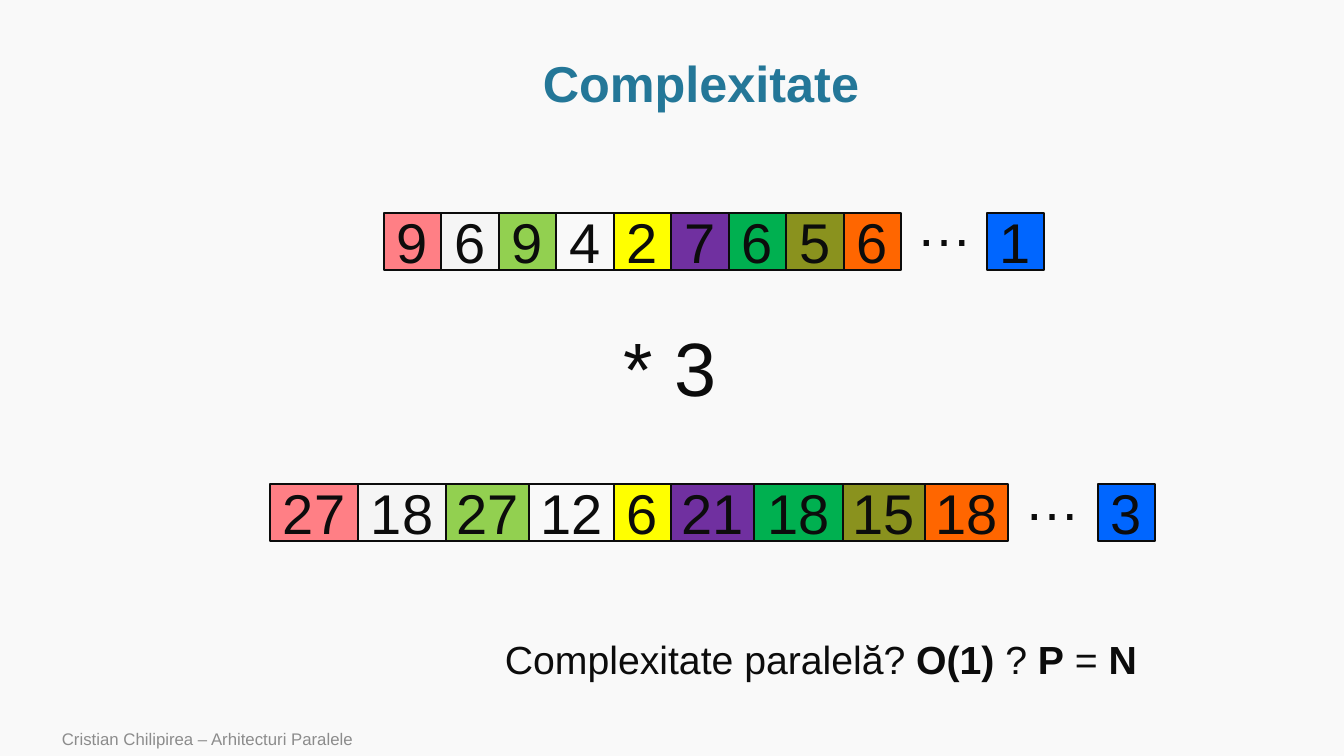
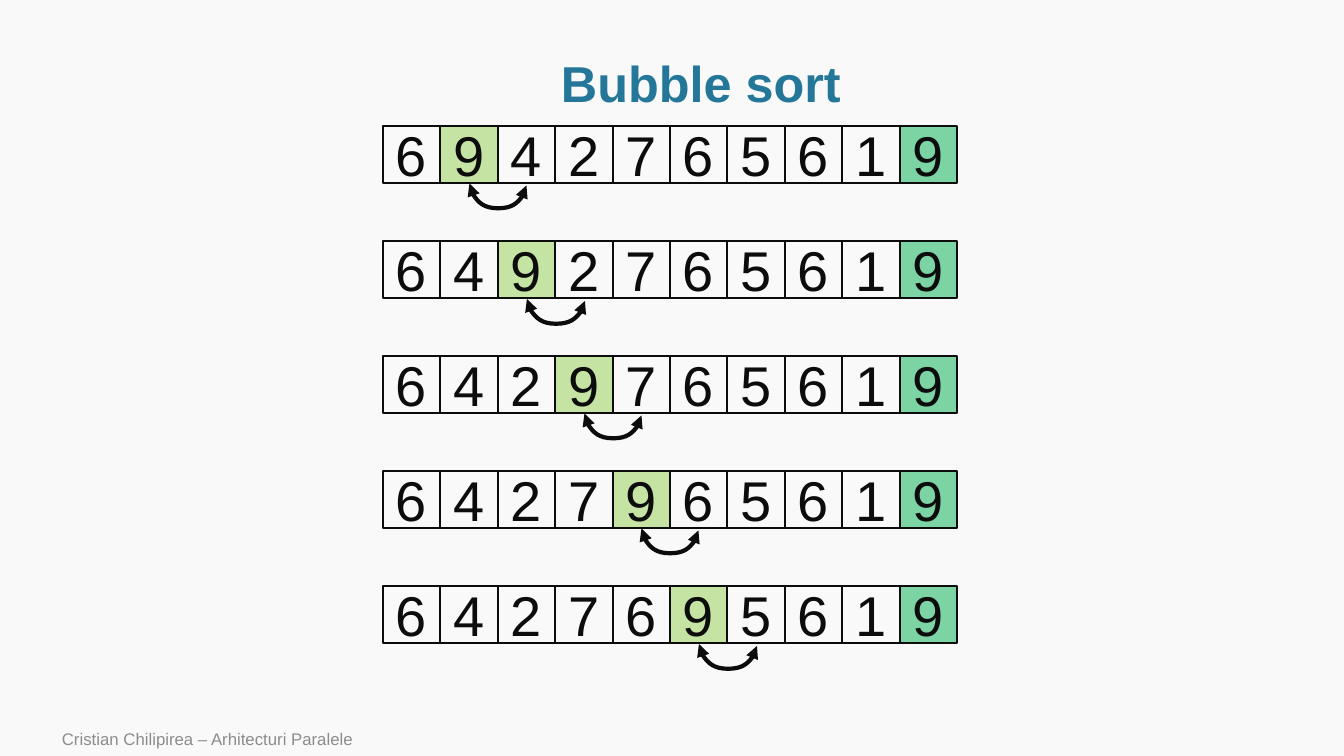
from dataclasses import dataclass
from typing import Optional

from lxml.etree import SubElement
from pptx import Presentation
from pptx.dml.color import RGBColor
from pptx.enum.shapes import MSO_CONNECTOR as Connector, MSO_SHAPE as Shape
from pptx.enum.text import MSO_ANCHOR as Anchor, MSO_AUTO_SIZE as AutoSize, PP_ALIGN as Align
from pptx.oxml.ns import qn
from pptx.util import Emu, Pt

SLIDE_WIDTH, SLIDE_HEIGHT = 1344, 756
EMU_PER_PX = 12192000 / SLIDE_WIDTH
FONT = "Arial"
TITLE_ONLY = 5
CELL = 57
COLORS = {
    "background": "F9F9F9",
    "title": "247798",
    "ink": "0C0C0C",
    "footer": "8C8C8C",
    "pink": "FF7F85",
    "pale": "F5F5F5",
    "lime": "92D050",
    "yellow": "FFFF00",
    "purple": "7030A0",
    "green": "00B050",
    "olive": "8A921E",
    "orange": "FF6600",
    "blue": "0066FF",
}


@dataclass(frozen=True)
class Cell:
    value: str
    color: Optional[str] = None
    opacity: int = 100


@dataclass(frozen=True)
class Product:
    top: int
    edges: list[int]
    factor: int
    ellipsis_left: int
    ellipsis_top: int
    last_left: int


def px(length: int) -> Emu:
    return Emu(round(length * EMU_PER_PX))


def rgb(color: str) -> RGBColor:
    return RGBColor.from_string(COLORS[color])


def even_edges(left: int, width: int, count: int) -> list[int]:
    return [left + round(width * step / count) for step in range(count + 1)]


def write(frame, text: str, *, size: int, color: str = "ink", bold: bool = False,
          align: Align = Align.LEFT, spacing: Optional[float] = None) -> None:
    paragraph = frame.paragraphs[0]
    paragraph.alignment = align
    if spacing:
        paragraph.line_spacing = spacing
    run = paragraph.add_run()
    run.text = text
    run.font.name = FONT
    run.font.size = Pt(size)
    run.font.bold = bold
    run.font.color.rgb = rgb(color)


def add_label(slide, left: int, top: int, width: int, height: int):
    frame = slide.shapes.add_textbox(px(left), px(top), px(width), px(height)).text_frame
    frame.word_wrap = False
    frame.auto_size = AutoSize.SHAPE_TO_FIT_TEXT
    return frame


def add_titled_slide(deck, heading: str):
    slide = deck.slides.add_slide(deck.slide_layouts[TITLE_ONLY])
    title = slide.shapes.title
    title.left, title.top, title.width, title.height = px(115), px(51), px(1172), px(70)
    title.text_frame.vertical_anchor = Anchor.MIDDLE
    write(title.text_frame, heading, size=36, color="title", bold=True,
          align=Align.CENTER, spacing=0.9)

    footer = slide.shapes.add_textbox(px(52), px(722), px(847), px(34)).text_frame
    footer.word_wrap = True
    footer.vertical_anchor = Anchor.MIDDLE
    write(footer, "Cristian Chilipirea – Arhitecturi Paralele", size=12, color="footer")
    return slide


def draw_cell(slide, cell: Cell, left: int, top: int, width: int) -> None:
    box = slide.shapes.add_shape(Shape.RECTANGLE, px(left), px(top), px(width), px(CELL))
    box.shadow.inherit = False
    box.line.color.rgb = rgb("ink")
    box.line.width = Pt(1)
    if cell.color:
        box.fill.solid()
        box.fill.fore_color.rgb = rgb(cell.color)
        if cell.opacity < 100:
            tint = box.element.spPr.find(qn("a:solidFill")).find(qn("a:srgbClr"))
            SubElement(tint, qn("a:alpha"), val=str(cell.opacity * 1000))
    else:
        box.fill.background()
    frame = box.text_frame
    frame.margin_left = frame.margin_right = 0
    frame.vertical_anchor = Anchor.MIDDLE
    write(frame, cell.value, size=40, align=Align.CENTER)


def draw_row(slide, cells: list[Cell], edges: list[int], top: int) -> None:
    for cell, left, right in zip(cells, edges, edges[1:]):
        draw_cell(slide, cell, left, top, right - left)


def draw_swap(slide, start: int, end: int, top: int) -> None:
    drop, depth = 2, 25
    span = end - start
    left = (start + end - drop) // 2
    arrow = slide.shapes.add_connector(
        Connector.CURVE, px(left), px(top + (drop - span) // 2),
        px(left + drop), px(top + (drop + span) // 2))
    arrow.line.color.rgb = rgb("ink")
    arrow.line.width = Pt(3)
    properties = arrow.element.spPr
    turn = properties.find(qn("a:xfrm"))
    turn.set("rot", "16200000")
    turn.set("flipH", "1")
    guides = properties.find(qn("a:prstGeom")).find(qn("a:avLst"))
    SubElement(guides, qn("a:gd"), name="adj1", fmla=f"val {depth * 100000 // drop}")
    stroke = properties.find(qn("a:ln"))
    for tip in ("a:headEnd", "a:tailEnd"):
        SubElement(stroke, qn(tip), type="triangle")
    SubElement(properties, qn("a:effectLst"))


def build_complexity(deck) -> None:
    slide = add_titled_slide(deck, "Complexitate")
    numbers = [9, 6, 9, 4, 2, 7, 6, 5, 6]
    colors = ["pink", "pale", "lime", None, "yellow", "purple", "green", "olive", "orange"]
    last_number = 1
    products = [
        Product(213, even_edges(384, 517, len(numbers)), 1, 907, 186, 987),
        Product(484, [270, 358, 446, 529, 614, 671, 754, 843, 925, 1008], 3, 1015, 460, 1098),
    ]
    for product in products:
        cells = [Cell(str(number * product.factor), color)
                 for number, color in zip(numbers, colors)]
        draw_row(slide, cells, product.edges, product.top)
        draw_cell(slide, Cell(str(last_number * product.factor), "blue"),
                  product.last_left, product.top, CELL)
        ellipsis = add_label(slide, product.ellipsis_left, product.ellipsis_top, 77, 78)
        write(ellipsis, "…", size=40)

    write(add_label(slide, 614, 316, 114, 102), "* 3", size=54)
    question = add_label(slide, 495, 630, 660, 57)
    for text, bold in [("Complexitate paralelă? ", False), ("O(1) ", True), ("? ", False),
                       ("P", True), (" = ", False), ("N", True)]:
        write(question, text, size=28, bold=bold)


def build_bubble_sort(deck) -> None:
    slide = add_titled_slide(deck, "Bubble sort")
    values = list("6942765619")
    edges = even_edges(383, 574, len(values))
    centers = [(left + right) // 2 for left, right in zip(edges, edges[1:])]
    first_top, pitch, steps = 126, 115, 5
    for step in range(steps):
        top = first_top + step * pitch
        moving = step + 1
        cells = [Cell(value) for value in values]
        cells[moving] = Cell(values[moving], "lime", 50)
        cells[-1] = Cell(values[-1], "green", 50)
        draw_row(slide, cells, edges, top)
        draw_swap(slide, centers[moving] + 1, centers[moving + 1] + 1, top + CELL + 1)
        values[moving], values[moving + 1] = values[moving + 1], values[moving]


def main() -> None:
    deck = Presentation()
    deck.slide_width, deck.slide_height = px(SLIDE_WIDTH), px(SLIDE_HEIGHT)
    backdrop = deck.slide_master.background.fill
    backdrop.solid()
    backdrop.fore_color.rgb = rgb("background")
    build_complexity(deck)
    build_bubble_sort(deck)
    deck.save("out.pptx")


if __name__ == "__main__":
    main()
